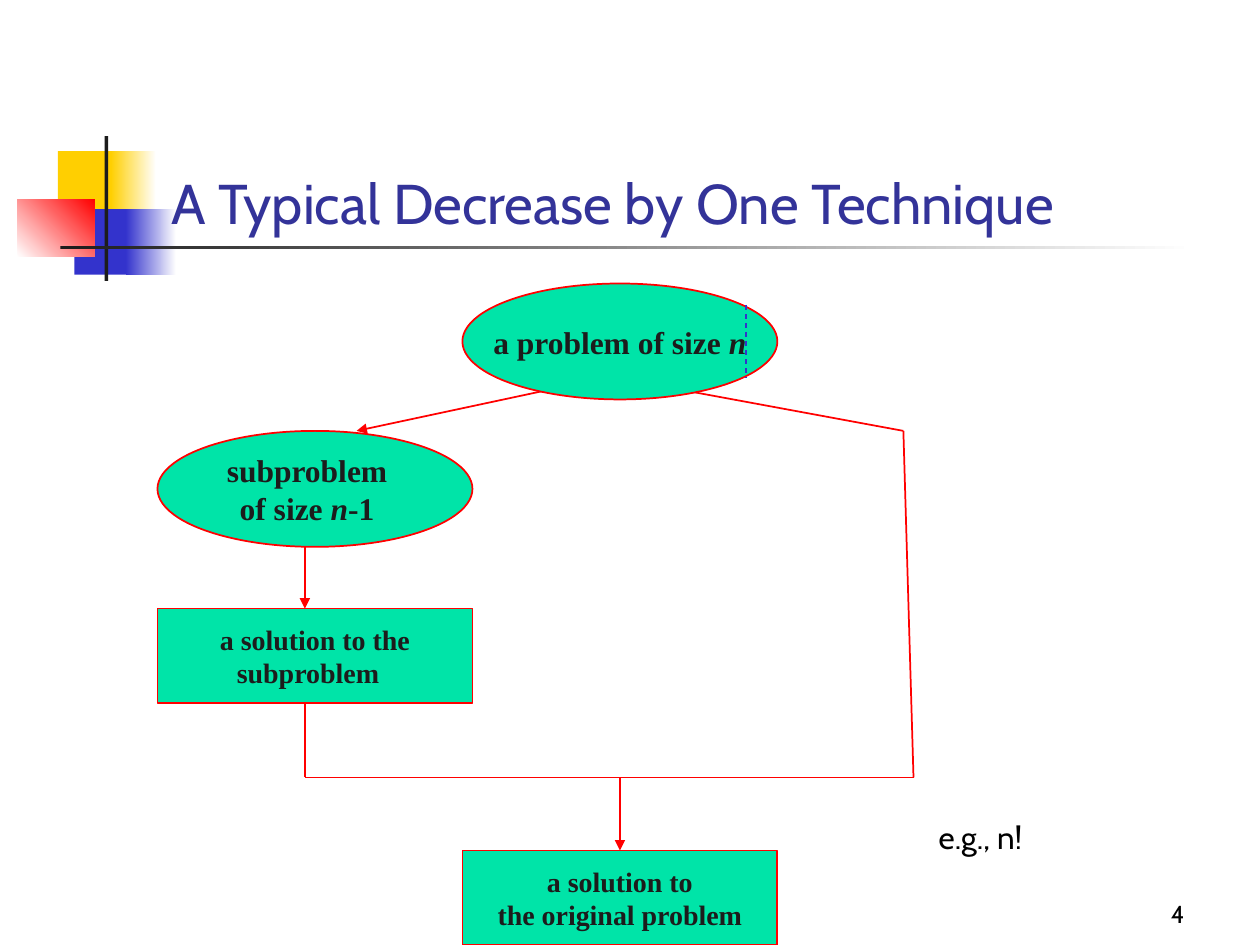
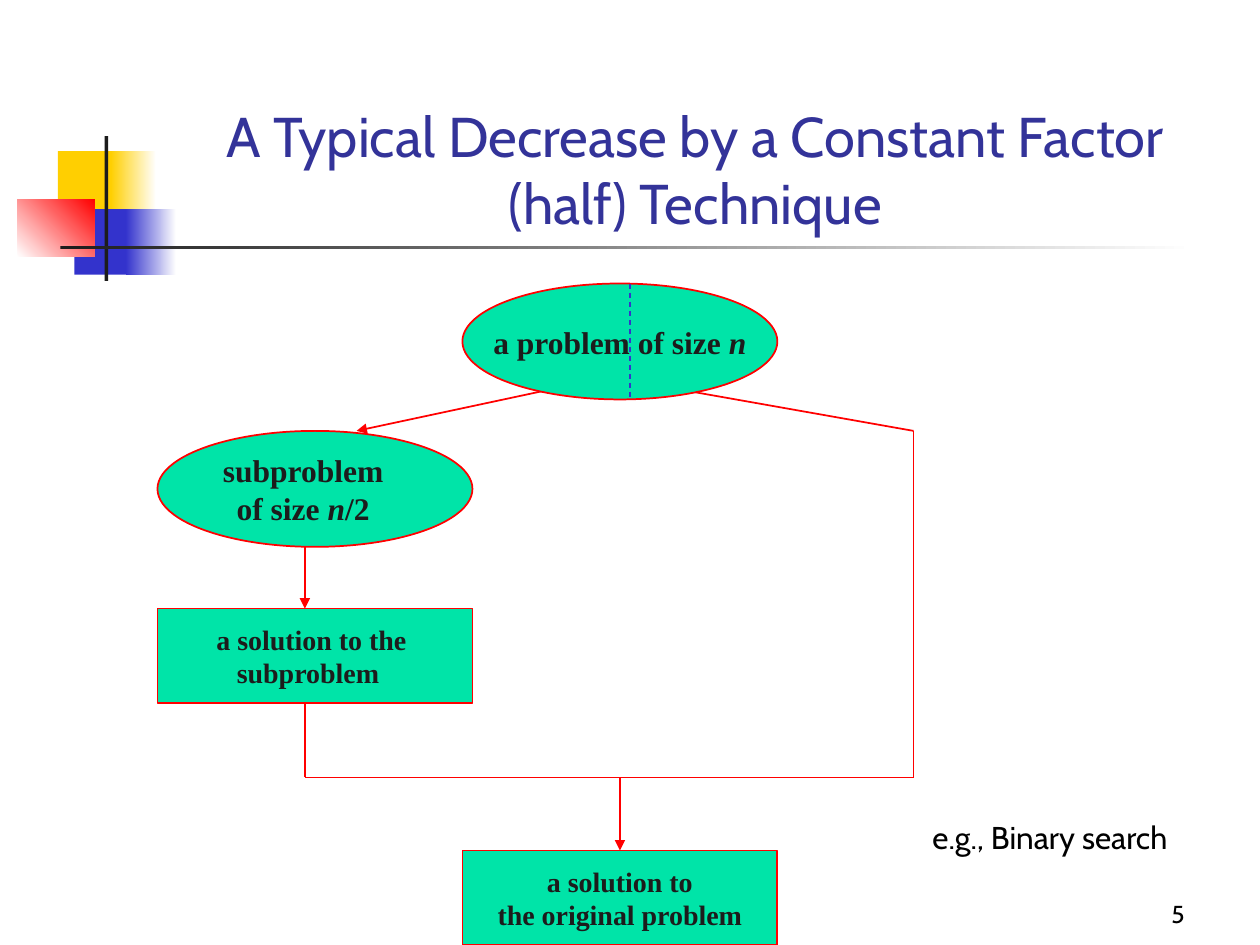
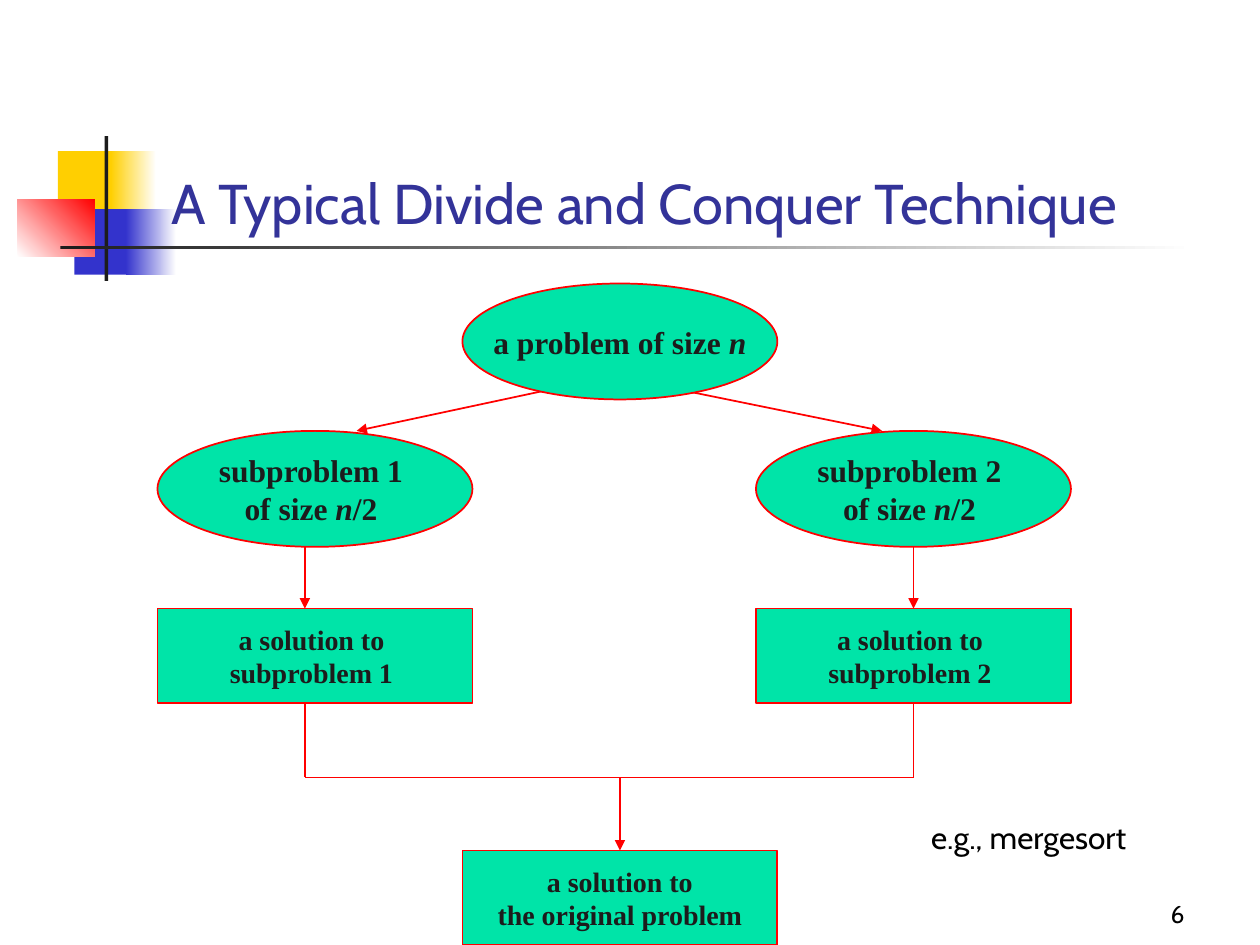
from dataclasses import dataclass

from lxml.etree import SubElement
from pptx import Presentation
from pptx.dml.color import RGBColor
from pptx.enum.dml import MSO_LINE
from pptx.enum.shapes import MSO_CONNECTOR, MSO_SHAPE
from pptx.enum.text import MSO_ANCHOR, MSO_AUTO_SIZE, PP_ALIGN
from pptx.oxml.ns import qn
from pptx.util import Inches, Pt


@dataclass(frozen=True)
class Theme:
    """Colours, fonts and type sizes shared by all slides."""
    white: str = "FFFFFF"
    black: str = "000000"
    ink: str = "1C1C1C"
    yellow: str = "FFCF01"
    blue: str = "3333CC"
    red: str = "FF0000"
    title: str = "333399"
    node: str = "00E4A8"
    sans: str = "Cabin"
    serif: str = "Times New Roman"
    title_size: int = 32
    body_size: int = 18
    solution_size: int = 16
    number_size: int = 14


@dataclass(frozen=True)
class Line:
    """One centred line of text, moved left by a gap counted in spaces."""
    runs: tuple
    gap: int = 0


@dataclass(frozen=True)
class Branch:
    """The two text lines of a subproblem and those of its solution."""
    problem: tuple
    solution: tuple


@dataclass(frozen=True)
class Technique:
    """The content of one slide; a lone branch has a bypass at its right."""
    number: int
    title: str
    alignment: PP_ALIGN
    branches: tuple
    example: str
    example_left: float
    example_width: float
    slant_end: float
    divider: tuple = ()


THEME = Theme()
DIAGRAM_BOX = (1.25, 2.25)
NODE_WIDTH, ELLIPSE_HEIGHT, SOLUTION_HEIGHT = 2.5, 0.92, 0.75
BRANCH_LEFTS, BRANCH_STEMS = (0, 4.75), (1.17, 6)
CENTRE_LEFT, CENTRE_STEM = 2.42, 3.67
SUBPROBLEM_TOP, SOLUTION_TOP, JOIN_TOP, RESULT_TOP = 1.17, 2.58, 3.92, 4.5

ROOT_LINES = (Line(("a problem of size ", "n")),)
RESULT_LINES = (Line(("a solution to",)), Line(("the original problem",)))


def single_branch(size, problem_gap, solution_gap):
    """Return the only branch of a decrease technique."""
    return Branch(
        (Line(("subproblem",), problem_gap), Line(("of size ", "n", size))),
        (Line(("a solution to the",), solution_gap), Line(("subproblem",), 2)),
    )


def numbered_branch(number):
    """Return one of the halves of a divide technique."""
    return Branch(
        (Line((f"subproblem {number}",), 1), Line(("of size ", "n", "/2"))),
        (Line(("a solution to",), 1), Line((f"subproblem {number}",))),
    )


TECHNIQUES = (
    Technique(4, "A Typical Decrease by One Technique", PP_ALIGN.LEFT,
              (single_branch("-1", 2, 0),), "e.g., n!", 6.85, 1.55, 5.92,
              (4.67, 0.17, 0.75)),
    Technique(5, "A Typical Decrease by a Constant Factor (half) Technique",
              PP_ALIGN.CENTER, (single_branch("/2", 3, 1),),
              "e.g., Binary search", 6.8, 2.92, 6, (3.75, 0, 0.92)),
    Technique(6, "A Typical Divide and Conquer Technique", PP_ALIGN.LEFT,
              (numbered_branch(1), numbered_branch(2)),
              "e.g., mergesort", 6.79, 2.56, 5.75),
)


def rgb(colour):
    """Return a colour object for a hex string."""
    return RGBColor.from_string(colour)


def set_font(paragraph, name, size, colour, bold=False):
    """Format the font of a whole paragraph."""
    font = paragraph.font
    font.name, font.size, font.bold = name, Pt(size), bold
    font.color.rgb = rgb(colour)


def add_plain_shape(slide, kind, left, top, width, height):
    """Add a preset shape without a shadow."""
    shape = slide.shapes.add_shape(
        kind, Inches(left), Inches(top), Inches(width), Inches(height))
    shape.shadow.inherit = False
    return shape


def add_line(slide, start, end, colour=THEME.red, arrow=False, dashed=False):
    """Add a straight line between two points of the diagram box."""
    left, top = DIAGRAM_BOX
    connector = slide.shapes.add_connector(
        MSO_CONNECTOR.STRAIGHT,
        Inches(left + start[0]), Inches(top + start[1]),
        Inches(left + end[0]), Inches(top + end[1]))
    line = connector.line
    line.color.rgb = rgb(colour)
    line.width = Pt(0.75 if dashed else 1)
    if dashed:
        line.dash_style = MSO_LINE.DASH
    properties = connector.element.spPr
    if arrow:
        SubElement(properties.find(qn("a:ln")), qn("a:tailEnd"), type="triangle")
    SubElement(properties, qn("a:effectLst"))


def add_node(slide, kind, left, top, lines):
    """Add a labelled node at a point of the diagram box."""
    is_ellipse = kind == MSO_SHAPE.OVAL
    height = ELLIPSE_HEIGHT if is_ellipse else SOLUTION_HEIGHT
    size = THEME.body_size if is_ellipse else THEME.solution_size
    shape = add_plain_shape(slide, kind, DIAGRAM_BOX[0] + left,
                            DIAGRAM_BOX[1] + top, NODE_WIDTH, height)
    shape.fill.solid()
    shape.fill.fore_color.rgb = rgb(THEME.node)
    shape.line.color.rgb = rgb(THEME.red)
    shape.line.width = Pt(1)
    text_frame = shape.text_frame
    text_frame.word_wrap = len(lines) > 1
    text_frame.vertical_anchor = MSO_ANCHOR.MIDDLE
    for index, line in enumerate(lines):
        paragraph = text_frame.add_paragraph() if index else text_frame.paragraphs[0]
        paragraph.alignment = PP_ALIGN.CENTER
        set_font(paragraph, THEME.serif, size, THEME.ink, bold=True)
        if line.gap:
            properties = paragraph._p.get_or_add_pPr()
            properties.set("marR", str(Pt(line.gap * size / 4)))
        for text in line.runs:
            run = paragraph.add_run()
            run.text = text
            if text == "n":
                run.font.italic = True


def add_layout_ornament(layout, slide):
    """Build the coloured squares and rules and move them to the layout."""
    ornament = (
        (0.46, 1.2, 0.48, 0.52, (THEME.yellow,), 0),
        (0.88, 1.2, 0.36, 0.52, (THEME.yellow, THEME.white), 0),
        (0.59, 1.66, 0.46, 0.52, (THEME.blue,), 0),
        (1, 1.66, 0.4, 0.52, (THEME.blue, THEME.white), 0),
        (0.14, 1.58, 0.61, 0.46, (THEME.white, THEME.red), 45),
        (0.83, 1.08, 0.03, 1.15, (THEME.ink,), 0),
        (0.48, 1.95, 9, 0.03, (THEME.ink, THEME.white), 0),
    )
    for index, (left, top, width, height, colours, angle) in enumerate(ornament):
        shape = add_plain_shape(slide, MSO_SHAPE.RECTANGLE, left, top, width, height)
        shape.line.fill.background()
        if len(colours) == 1:
            shape.fill.solid()
            shape.fill.fore_color.rgb = rgb(colours[0])
        else:
            shape.fill.gradient()
            shape.fill.gradient_angle = angle
            for stop, colour in zip(shape.fill.gradient_stops, colours):
                stop.color.rgb = rgb(colour)
        shape.element.nvSpPr.cNvPr.set("id", str(100 + index))
        layout.shapes.element.append(shape.element)


def format_title(slide, technique):
    """Place and format the title placeholder."""
    title = slide.shapes.title
    title.left, title.top = Inches(1.26), Inches(0.67)
    title.width, title.height = Inches(8.52), Inches(1.25)
    text_frame = title.text_frame
    text_frame.text = technique.title
    text_frame.auto_size = MSO_AUTO_SIZE.NONE
    text_frame.vertical_anchor = MSO_ANCHOR.BOTTOM
    paragraph = text_frame.paragraphs[0]
    paragraph.alignment = technique.alignment
    set_font(paragraph, THEME.sans, THEME.title_size, THEME.title)


def add_text(slide, text, left, top, width, height, size):
    """Add a wrapped text box and return its frame and paragraph."""
    text_frame = slide.shapes.add_textbox(
        Inches(left), Inches(top), Inches(width), Inches(height)).text_frame
    text_frame.word_wrap = True
    text_frame.text = text
    paragraph = text_frame.paragraphs[0]
    set_font(paragraph, THEME.sans, size, THEME.black)
    return text_frame, paragraph


def add_slide_number(slide, number):
    """Add the slide number at the lower right."""
    text_frame, paragraph = add_text(
        slide, str(number), 7.42, 6.92, 2.08, 0.5, THEME.number_size)
    text_frame.vertical_anchor = MSO_ANCHOR.BOTTOM
    paragraph.alignment = PP_ALIGN.RIGHT


def add_example(slide, technique):
    """Add the example beside the final solution."""
    text_frame, paragraph = add_text(
        slide, technique.example, technique.example_left, 6.5,
        technique.example_width, 0.34, THEME.body_size)
    text_frame.margin_left = Inches(0.6)
    text_frame.auto_size = MSO_AUTO_SIZE.SHAPE_TO_FIT_TEXT
    paragraph.line_spacing = 0.8
    paragraph.space_before = Pt(4.5)


def add_diagram(slide, technique):
    """Draw the flow from the problem through its branches to the solution."""
    left_stem, right_stem = BRANCH_STEMS
    for branch, left, stem in zip(technique.branches, BRANCH_LEFTS, BRANCH_STEMS):
        add_node(slide, MSO_SHAPE.OVAL, left, SUBPROBLEM_TOP, branch.problem)
        add_node(slide, MSO_SHAPE.RECTANGLE, left, SOLUTION_TOP, branch.solution)
        add_line(slide, (stem, SUBPROBLEM_TOP + ELLIPSE_HEIGHT),
                 (stem, SOLUTION_TOP), arrow=True)
        add_line(slide, (stem, SOLUTION_TOP + SOLUTION_HEIGHT), (stem, JOIN_TOP))
    add_node(slide, MSO_SHAPE.RECTANGLE, CENTRE_LEFT, RESULT_TOP, RESULT_LINES)

    has_bypass = len(technique.branches) == 1
    slant_end = (technique.slant_end, SUBPROBLEM_TOP)
    add_line(slide, (3.17, 0.83), (1.58, SUBPROBLEM_TOP), arrow=True)
    add_line(slide, (4.08, 0.83), slant_end, arrow=not has_bypass)
    if has_bypass:
        add_line(slide, slant_end, (right_stem, JOIN_TOP))
    add_line(slide, (left_stem, JOIN_TOP), (right_stem, JOIN_TOP))
    add_line(slide, (CENTRE_STEM, JOIN_TOP), (CENTRE_STEM, RESULT_TOP), arrow=True)

    add_node(slide, MSO_SHAPE.OVAL, CENTRE_LEFT, 0, ROOT_LINES)
    if technique.divider:
        across, top, bottom = technique.divider
        add_line(slide, (across, top), (across, bottom), THEME.blue, dashed=True)


def add_technique_slide(presentation, layout, technique):
    """Add one slide with its title, diagram, example and number."""
    slide = presentation.slides.add_slide(layout)
    format_title(slide, technique)
    add_diagram(slide, technique)
    add_example(slide, technique)
    add_slide_number(slide, technique.number)
    return slide


def main():
    """Build and save the presentation."""
    presentation = Presentation()
    presentation.slide_width, presentation.slide_height = Inches(10), Inches(7.5)
    layout = presentation.slide_layouts[5]
    slides = [add_technique_slide(presentation, layout, technique)
              for technique in TECHNIQUES]
    add_layout_ornament(layout, slides[0])
    presentation.save("out.pptx")


if __name__ == "__main__":
    main()
